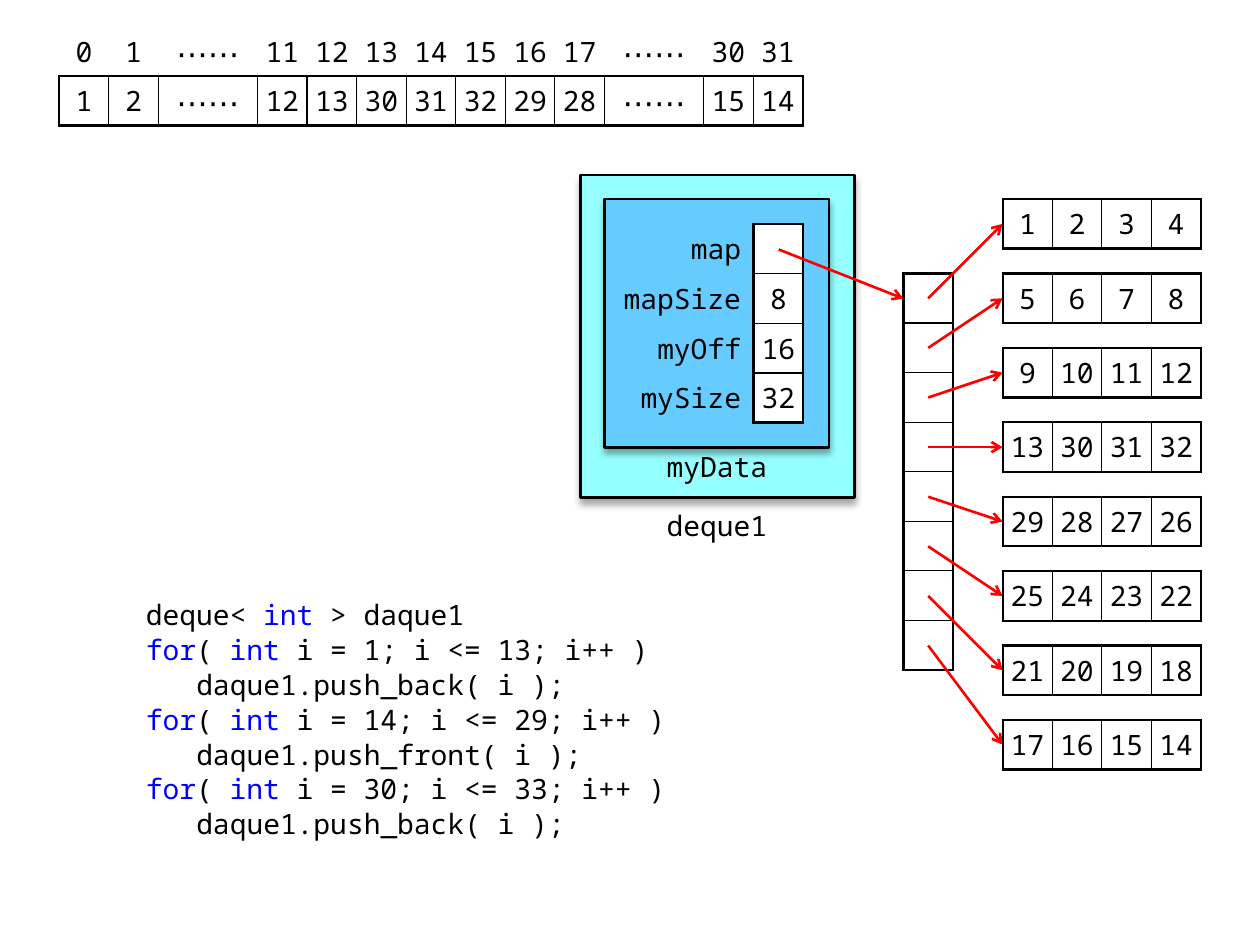
import pptx
import pptx.util
import pptx.dml.color
import pptx.enum.shapes
import pptx.enum.text
import pptx.oxml
import pptx.oxml.ns

Inches = pptx.util.Inches
Pt = pptx.util.Pt
RGBColor = pptx.dml.color.RGBColor
SHAPE = pptx.enum.shapes.MSO_SHAPE
ALIGN = pptx.enum.text.PP_ALIGN
ANCHOR = pptx.enum.text.MSO_ANCHOR
qn = pptx.oxml.ns.qn

BLACK = RGBColor(0x00, 0x00, 0x00)
WHITE = RGBColor(0xFF, 0xFF, 0xFF)
RED = RGBColor(0xFF, 0x00, 0x00)
BLUE = RGBColor(0x00, 0x00, 0xFF)
AQUA = RGBColor(0x96, 0xFF, 0xFF)
SKY = RGBColor(0x66, 0xCC, 0xFF)

FONT = "Noto Sans Mono"
CELL = 1 / 2.54
BLOCK_STEP = 1.5 * CELL
DOTS = "⋯⋯"
PLAIN_STYLE = "{2D5ABB26-0587-4C30-8999-92F81FD0307C}"
NS = 'xmlns:a="http://schemas.openxmlformats.org/drawingml/2006/main"'
BORDER = (f'<a:{{}} {NS} w="{{}}"><a:solidFill><a:srgbClr val="{BLACK}"/>'
          '</a:solidFill></a:{}>')
SHADOW = (f'<a:effectLst {NS}><a:outerShdw blurRad="50800" dist="38100" '
          'dir="5400000" rotWithShape="0"><a:srgbClr val="000000">'
          '<a:alpha val="35000"/></a:srgbClr></a:outerShdw></a:effectLst>')


def add_run(p, text, color=BLACK, size=16):
    """Append one run of monospaced text."""
    r = p.add_run()
    r.text = text
    r.font.name = FONT
    r.font.size = Pt(size)
    r.font.color.rgb = color


def set_insets(obj, left, top, right, bottom):
    """Set the inner margins of a cell or text frame."""
    obj.margin_left, obj.margin_top = Inches(left), Inches(top)
    obj.margin_right, obj.margin_bottom = Inches(right), Inches(bottom)


def add_borders(cell, row, col, first, last):
    """Rule a cell: thick around the framed area, thin inside it."""
    in_rows = first[0] <= row <= last[0]
    in_cols = first[1] <= col <= last[1]
    edges = (("lnL", in_rows, col, first[1], last[1]),
             ("lnR", in_rows, col + 1, first[1], last[1]),
             ("lnT", in_cols, row, first[0], last[0]),
             ("lnB", in_cols, row + 1, first[0], last[0]))
    tcPr = cell._tc.get_or_add_tcPr()
    count = 0
    for tag, inside, at, low, high in edges:
        if inside and low <= at <= high + 1:
            width = Pt(1.5) if at in (low, high + 1) else Pt(0.75)
            tcPr.insert(count, pptx.oxml.parse_xml(BORDER.format(tag, width, tag)))
            count += 1


def add_grid(s, x, y, rows, widths=None, frame=(0, 0)):
    """Add a table of cells, framed from the given cell to the last one."""
    widths = widths or [1] * len(rows[0])
    last = (len(rows) - 1, len(widths) - 1)
    gf = s.shapes.add_table(len(rows), len(widths), Inches(x), Inches(y),
                            Inches(sum(widths) * CELL), Inches(len(rows) * CELL))
    tbl = gf.table
    tbl.first_row = tbl.horz_banding = False
    tbl._tbl.tblPr.find(qn("a:tableStyleId")).text = PLAIN_STYLE
    for column, width in zip(tbl.columns, widths):
        column.width = Inches(width * CELL)
    for i, texts in enumerate(rows):
        tbl.rows[i].height = Inches(CELL)
        for j, text in enumerate(texts):
            cell = tbl.cell(i, j)
            framed = i >= frame[0] and j >= frame[1]
            label = j < frame[1]
            side = 0.1 if label else 0.02
            set_insets(cell, side, 0.04, side, 0.04)
            cell.vertical_anchor = ANCHOR.MIDDLE
            if framed:
                cell.fill.solid()
                cell.fill.fore_color.rgb = WHITE
            else:
                cell.fill.background()
            add_borders(cell, i, j, frame, last)
            p = cell.text_frame.paragraphs[0]
            p.alignment = ALIGN.RIGHT if label else ALIGN.CENTER
            if text:
                add_run(p, text, size=18 if text == DOTS else 16)


def add_arrow(s, x1, y1, x2, y2):
    """Draw a red pointer arrow."""
    sp = s.shapes.add_connector(pptx.enum.shapes.MSO_CONNECTOR.STRAIGHT,
                                Inches(x1), Inches(y1), Inches(x2), Inches(y2))
    sp.line.color.rgb = RED
    sp.line.width = Pt(1.5)
    sp.line._get_or_add_ln().append(
        pptx.oxml.parse_xml(f'<a:tailEnd {NS} type="arrow"/>'))
    sp._element.spPr.append(pptx.oxml.parse_xml(f'<a:effectLst {NS}/>'))


def add_panel(s, x, y, w, h, color):
    """Add a filled panel with a soft shadow."""
    sp = s.shapes.add_shape(SHAPE.FLOWCHART_PROCESS, Inches(x), Inches(y),
                            Inches(w), Inches(h))
    sp.fill.solid()
    sp.fill.fore_color.rgb = color
    sp.line.color.rgb = BLACK
    sp.line.width = Pt(1.5)
    sp._element.spPr.append(pptx.oxml.parse_xml(SHADOW))


def add_caption(s, x, y, w, text, top, anchor):
    """Add a centred caption one cell high."""
    tf = s.shapes.add_textbox(Inches(x), Inches(y), Inches(w), Inches(CELL)).text_frame
    tf.word_wrap = True
    tf.vertical_anchor = anchor
    set_insets(tf, 0.08, top, 0.08, 0)
    tf.paragraphs[0].alignment = ALIGN.CENTER
    add_run(tf.paragraphs[0], text)


def add_sequence(s, x, y):
    """Add the indexed view of the whole sequence."""
    indexes = ["0", "1", DOTS, *map(str, range(11, 18)), DOTS, "30", "31"]
    values = ["1", "2", DOTS, "12", "13", "30", "31", "32", "29", "28", DOTS, "15", "14"]
    widths = [2 if text == DOTS else 1 for text in indexes]
    add_grid(s, x, y, [indexes, values], widths, frame=(1, 0))


def add_deque(s, x, y):
    """Add the deque object with its nested data members."""
    add_panel(s, x, y, 2.17, 2.56, AQUA)
    add_panel(s, x + 0.19, y + 0.19, 1.78, 1.97, SKY)
    add_caption(s, x + 0.39, y + 2.56, 1.38, "deque1", 0.04, ANCHOR.MIDDLE)
    add_caption(s, x + 0.59, y + 2.16, 0.98, "myData", 0.02, ANCHOR.TOP)
    members = [("map", ""), ("mapSize", "8"), ("myOff", "16"), ("mySize", "32")]
    add_grid(s, x + 0.19, y + 0.39, members, [3, 1], frame=(0, 1))


def add_blocks(s, x, y):
    """Add the map column, its blocks and the pointers between them."""
    blocks = [range(1, 5), range(5, 9), range(9, 13), (13, 30, 31, 32),
              *(range(n, n - 4, -1) for n in range(29, 16, -4))]
    block_x = x + 2 * CELL
    map_y = y + BLOCK_STEP
    add_grid(s, x, map_y, [[""]] * len(blocks))
    for i, block in enumerate(blocks):
        block_y = y + i * BLOCK_STEP
        add_grid(s, block_x, block_y, [[str(n) for n in block]])
        add_arrow(s, x + CELL / 2, map_y + (i + 0.5) * CELL,
                  block_x, block_y + CELL / 2)


def add_code(s, x, y, w, h):
    """Add the code listing with coloured keywords."""
    tf = s.shapes.add_textbox(Inches(x), Inches(y), Inches(w), Inches(h)).text_frame
    tf.word_wrap = True
    set_insets(tf, 0.1, 0.05, 0, 0.05)
    lines = [(0, ["deque< ", "int", " > daque1"])]
    for first, last, method in ((1, 13, "back"), (14, 29, "front"), (30, 33, "back")):
        lines.append((0, ["for", "( ", "int", f" i = {first}; i <= {last}; i++ )"]))
        lines.append((0.4, [f"daque1.push_{method}( i );"]))
    for i, (indent, parts) in enumerate(lines):
        p = tf.add_paragraph() if i else tf.paragraphs[0]
        p.space_before = Pt(3)
        p.line_spacing = 0.88
        p._p.get_or_add_pPr().set("marL", str(Inches(indent)))
        for part in parts:
            add_run(p, part, BLUE if part in ("for", "int") else BLACK)


prs = pptx.Presentation()
prs.slide_width, prs.slide_height = Inches(10), Inches(7.5)
s = prs.slides.add_slide(prs.slide_layouts[6])
add_code(s, 1.06, 4.73, 4.33, 2.36)
add_sequence(s, 0.47, 0.21)
add_blocks(s, 7.17, 1.58)
add_deque(s, 4.61, 1.39)
add_arrow(s, 6.18, 1.98, 7.17, 2.37)
prs.save("out.pptx")
